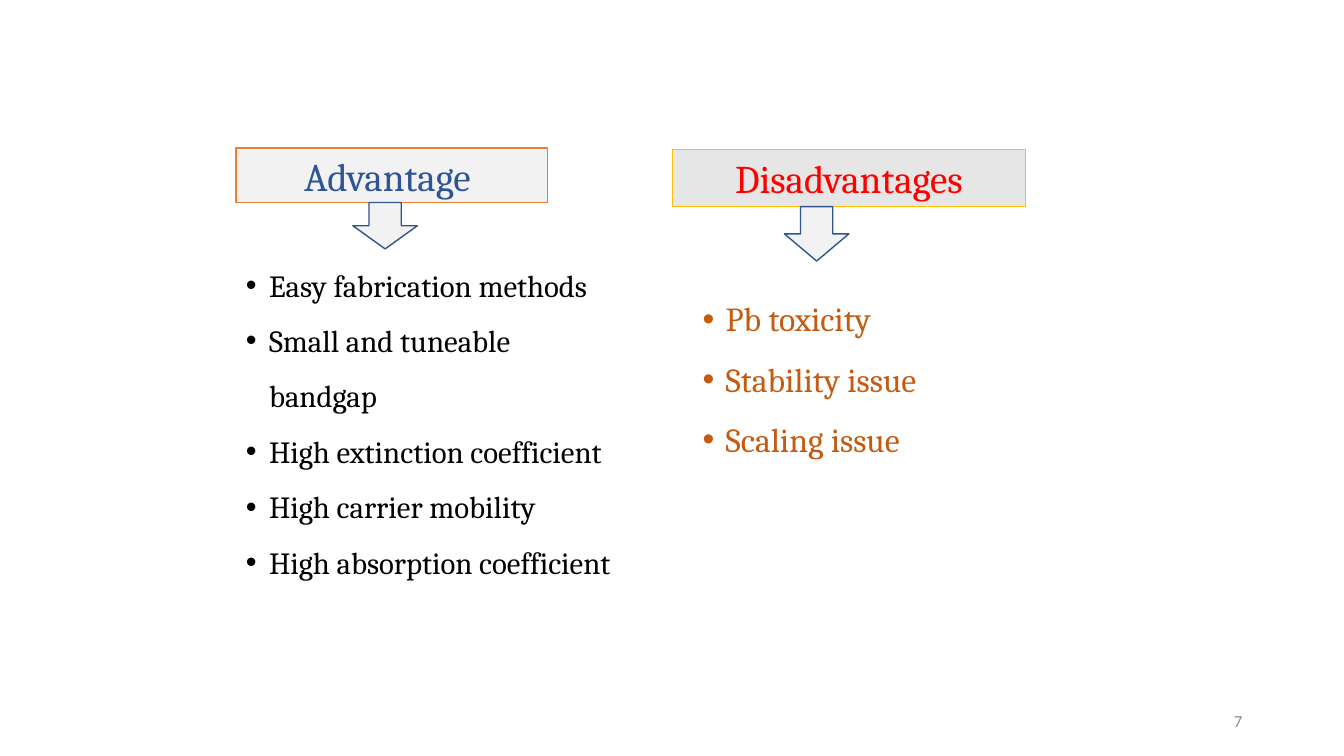
from dataclasses import dataclass
from lxml.etree import SubElement
from pptx import Presentation
from pptx.dml.color import RGBColor
from pptx.enum.shapes import MSO_SHAPE
from pptx.enum.text import MSO_ANCHOR, PP_ALIGN
from pptx.oxml.ns import qn
from pptx.shapes.autoshape import Shape
from pptx.slide import Slide
from pptx.util import Inches, Pt

COLORS = {
    "black": "000000", "blue": "2F5597", "red": "FF0000", "rust": "C55A11",
    "orange": "ED7D31", "gold": "FFC000", "navy": "325491",
    "pale": "F2F2F2", "silver": "E7E6E6", "gray": "8C8C8C",
}


@dataclass(frozen=True)
class Frame:
    left: float
    top: float
    width: float
    height: float

    def lengths(self) -> list[Inches]:
        return [Inches(v) for v in (self.left, self.top, self.width, self.height)]


@dataclass(frozen=True)
class TextFormat:
    size: float
    color: str
    font: str = "Cambria"
    align: PP_ALIGN = PP_ALIGN.LEFT
    anchor: MSO_ANCHOR = MSO_ANCHOR.TOP
    bullet: bool = False


@dataclass(frozen=True)
class Block:
    frame: Frame
    shape: MSO_SHAPE
    fill: str
    line: str
    line_width: float


@dataclass(frozen=True)
class Column:
    header: Block
    title: str
    title_format: TextFormat
    arrow: Block
    list_frame: Frame
    items: tuple[str, ...]
    list_format: TextFormat


COLUMNS = (
    Column(
        Block(Frame(2.34, 1.47, 3.09, 0.54), MSO_SHAPE.RECTANGLE, "pale", "orange", 1),
        "Advantage ",
        TextFormat(28, "blue", align=PP_ALIGN.CENTER, anchor=MSO_ANCHOR.MIDDLE),
        Block(Frame(3.5, 2.01, 0.64, 0.46), MSO_SHAPE.DOWN_ARROW, "pale", "navy", 1),
        Frame(2.34, 2.41, 3.89, 4.48),
        ("Easy fabrication methods", "Small and tuneable bandgap",
         "High extinction coefficient", "High carrier mobility",
         "High absorption coefficient"),
        TextFormat(22, "black", bullet=True),
    ),
    Column(
        Block(Frame(6.67, 1.48, 3.5, 0.57), MSO_SHAPE.RECTANGLE, "silver", "gold", 0.75),
        "Disadvantages",
        TextFormat(28, "red", align=PP_ALIGN.CENTER),
        Block(Frame(7.78, 2.05, 0.64, 0.54), MSO_SHAPE.DOWN_ARROW, "pale", "navy", 1),
        Frame(6.87, 2.71, 2.56, 2.45),
        ("Pb toxicity", "Stability issue", "Scaling issue"),
        TextFormat(24, "rust", bullet=True),
    ),
)


def rgb(name: str) -> RGBColor:
    return RGBColor.from_string(COLORS[name])


def write_text(box: Shape, lines: tuple[str, ...], style: TextFormat) -> None:
    frame = box.text_frame
    frame.word_wrap = True
    frame.vertical_anchor = style.anchor
    font_values = {"name": style.font, "size": Pt(style.size)}
    for index, line in enumerate(lines):
        para = frame.add_paragraph() if index else frame.paragraphs[0]
        para.alignment = style.align
        if style.bullet:
            para.line_spacing = 1.5
            properties = para._p.get_or_add_pPr()
            properties.set("marL", str(Inches(0.23)))
            properties.set("indent", str(Inches(-0.23)))
            SubElement(properties, qn("a:buFont"), typeface="Arial")
            SubElement(properties, qn("a:buChar"), char="•")
        span = para.add_run()
        span.text = line
        for name, value in font_values.items():
            setattr(span.font, name, value)
        span.font.color.rgb = rgb(style.color)


def add_block(page: Slide, block: Block) -> Shape:
    shape = page.shapes.add_shape(block.shape, *block.frame.lengths())
    shape.shadow.inherit = False
    shape.fill.solid()
    shape.fill.fore_color.rgb = rgb(block.fill)
    shape.line.color.rgb = rgb(block.line)
    shape.line.width = Pt(block.line_width)
    return shape


def add_text(page: Slide, frame: Frame, lines: tuple[str, ...], style: TextFormat) -> None:
    write_text(page.shapes.add_textbox(*frame.lengths()), lines, style)


def add_column(page: Slide, column: Column) -> None:
    add_text(page, column.list_frame, column.items, column.list_format)
    header = add_block(page, column.header)
    write_text(header, (column.title,), column.title_format)
    add_block(page, column.arrow)


def main() -> None:
    deck = Presentation()
    deck.slide_width, deck.slide_height = Inches(13.33), Inches(7.5)
    page = deck.slides.add_slide(deck.slide_layouts[6])
    for column in COLUMNS:
        add_column(page, column)
    number_format = TextFormat(12, "gray", "Calibri", PP_ALIGN.RIGHT, MSO_ANCHOR.MIDDLE)
    add_text(page, Frame(9.42, 6.95, 3, 0.4), ("7",), number_format)
    deck.save("out.pptx")


if __name__ == "__main__":
    main()
